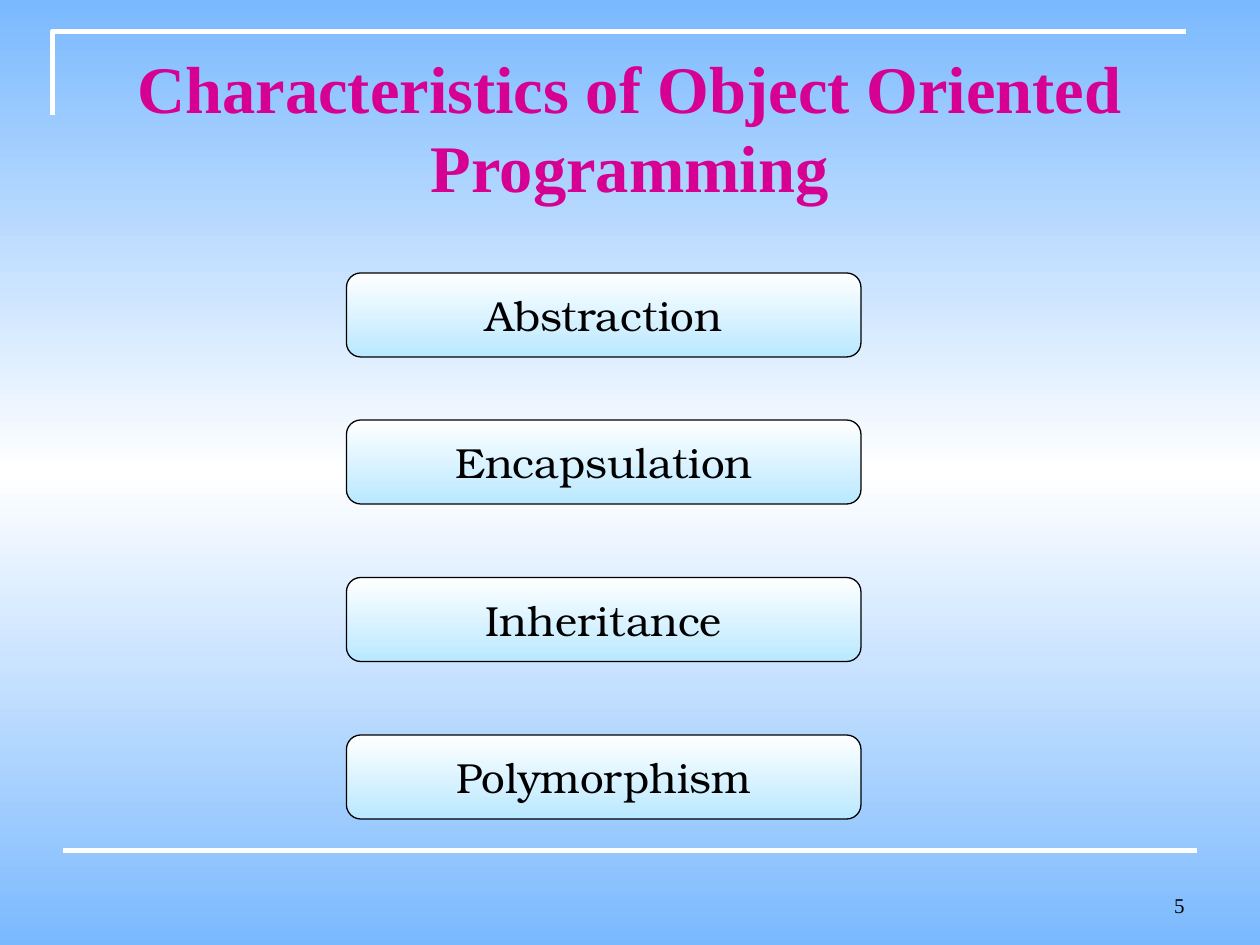
from copy import deepcopy
from pptx import Presentation, util as u
from pptx.dml.color import RGBColor
from pptx.enum import shapes, text
from pptx.oxml.ns import qn

UNIT = u.Inches(1) / 12
COLS, ROWS = 120, 90
SERIF, BOOK = "Times New Roman", "TeX Gyre Bonum"
TOPICS = {"Abstraction": 26, "Encapsulation": 40, "Inheritance": 55, "Polymorphism": 70}


def grid(*nums):
    """Turn grid columns and rows into lengths."""
    return [u.Emu(round(n * UNIT)) for n in nums]


def tint(color, code):
    """Set a colour from a hex string."""
    color.rgb = RGBColor.from_string(code)


def blend(fill, owner, codes):
    """Fill downwards with evenly spaced colours."""
    fill.gradient()
    fill.gradient_angle = 270
    stops = owner.xpath(".//a:gsLst")[0]
    while len(stops) < len(codes):
        stops.append(deepcopy(stops[0]))
    for i, (stop, code) in enumerate(zip(fill.gradient_stops, codes)):
        stop.position = i / (len(codes) - 1)
        tint(stop.color, code)


def pen(line, code, width):
    """Set the colour and width of a line."""
    tint(line.color, code)
    line.width = u.Pt(width)


def write(shape, words, size, face, code, align, anchor, wrap=True, bold=False):
    """Put one styled paragraph in a shape."""
    frame = shape.text_frame
    frame.word_wrap, frame.vertical_anchor = wrap, anchor
    par = frame.paragraphs[0]
    par.text, par.alignment = words, align
    font = par.font
    font.size, font.name, font.bold = u.Pt(size), face, bold
    tint(font.color, code)
    return frame


def frame_page(slide, left, top, wide, high):
    """Draw the corner bracket and the footer rule."""
    build = slide.shapes.build_freeform(left, top + high, scale=1.0)
    build.add_line_segments([(left, top), (left + wide, top)], close=False)
    corner = build.convert_to_shape(*grid(0, 0))
    corner.fill.background()
    corner.shadow.inherit = False
    rule = slide.shapes.add_connector(shapes.MSO_CONNECTOR.STRAIGHT, *grid(6, 81, 114, 81))
    rule._element.spPr.append(rule._element.makeelement(qn("a:effectLst"), {}))
    for part in (corner, rule):
        pen(part.line, "FFFFFF", 3)


def add_title(slide, box):
    """Write the heading in two centred lines."""
    frame = write(slide.shapes.add_textbox(*box),
                  "Characteristics of Object Oriented Programming", 38, SERIF,
                  "D60093", text.PP_ALIGN.CENTER, text.MSO_ANCHOR.TOP, bold=True)
    frame.margin_top = u.Inches(0.08)
    frame.paragraphs[0].line_spacing = u.Pt(45)


def add_topic(slide, words, box):
    """Add one rounded topic button."""
    shape = slide.shapes.add_shape(shapes.MSO_SHAPE.ROUNDED_RECTANGLE, *box)
    shape.adjustments[0] = 0.17
    shape.shadow.inherit = False
    blend(shape.fill, shape.element, ["FFFFFF", "B9E8FF"])
    pen(shape.line, "000000", 0.75)
    write(shape, words, 24, BOOK, "000000", text.PP_ALIGN.CENTER,
          text.MSO_ANCHOR.MIDDLE, wrap=False)


def add_number(slide, box):
    """Write the page number."""
    write(slide.shapes.add_textbox(*box), "5", 12, SERIF, "000000",
          text.PP_ALIGN.RIGHT, text.MSO_ANCHOR.BOTTOM)


def main():
    """Build and save the slide."""
    deck = Presentation()
    deck.slide_width, deck.slide_height = grid(COLS, ROWS)
    slide = deck.slides.add_slide(deck.slide_layouts[6])
    blend(slide.background.fill, slide.element, ["7AB9FE", "FFFFFF", "7AB9FE"])
    frame_page(slide, *grid(5, 3, 108, 8))
    add_number(slide, grid(86, 82, 28, 6))
    add_title(slide, grid(6, 3.6, 108, 15))
    for words, row in TOPICS.items():
        add_topic(slide, words, grid(33, row, 49, 8))
    deck.save("out.pptx")


if __name__ == "__main__":
    main()
